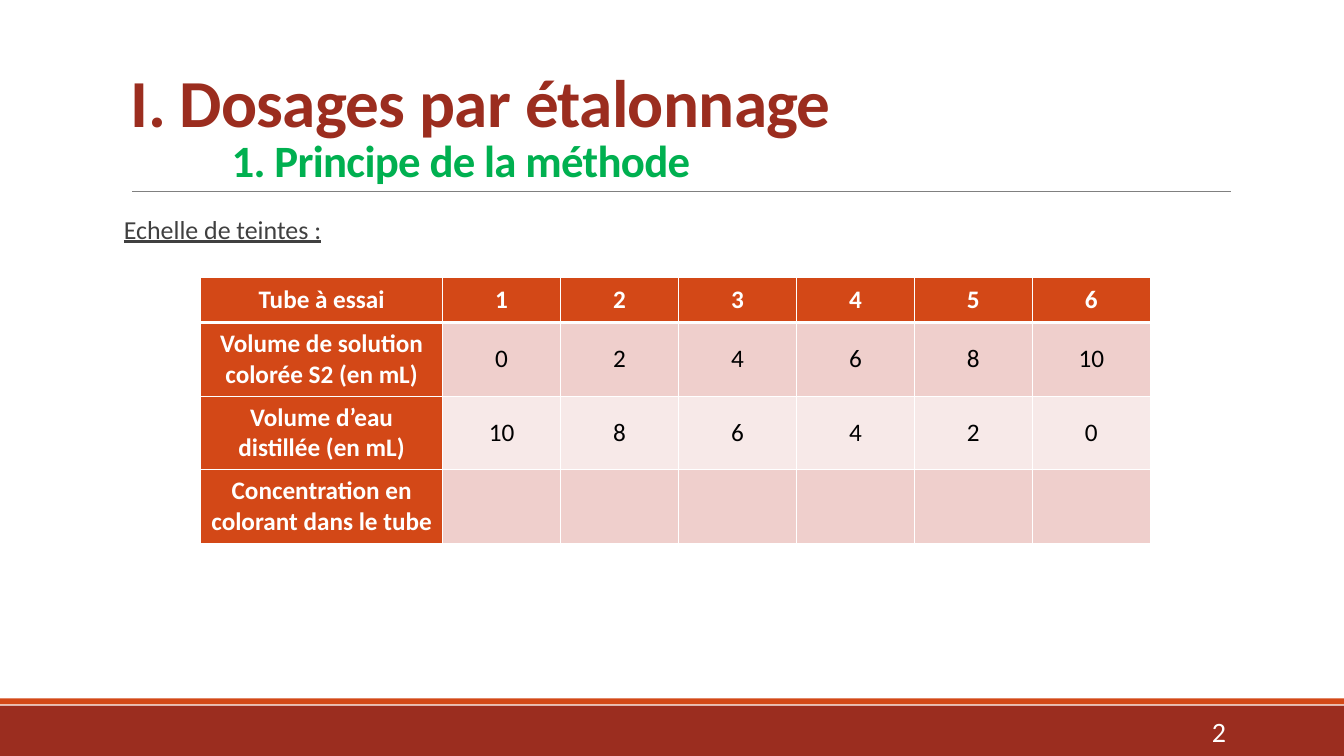
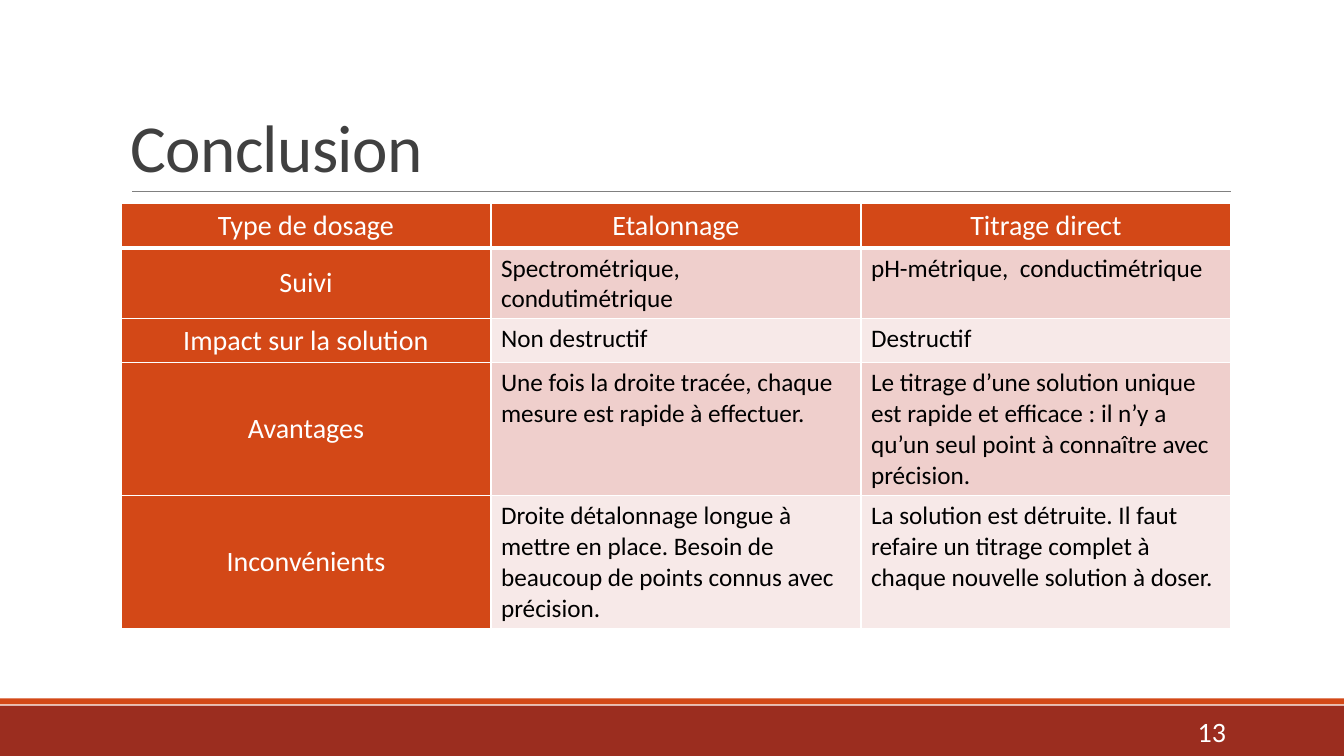
from lxml import etree
from pptx import Presentation
from pptx.dml.color import RGBColor
from pptx.enum.shapes import MSO_CONNECTOR, MSO_SHAPE
from pptx.enum.text import MSO_ANCHOR, PP_ALIGN
from pptx.oxml.ns import qn
from pptx.util import Inches, Pt

# Shared look
FONT = "Calibri"
BRICK = RGBColor(0x9B, 0x2D, 0x1F)
ORANGE = RGBColor(0xD3, 0x48, 0x17)
GREEN = RGBColor(0x00, 0xB0, 0x50)
DARK = RGBColor(0x40, 0x40, 0x40)
GREY = RGBColor(0x80, 0x80, 0x80)
WHITE = RGBColor(0xFF, 0xFF, 0xFF)
BLACK = RGBColor(0x00, 0x00, 0x00)
BANDS = (RGBColor(0xEF, 0xCF, 0xCC), RGBColor(0xF7, 0xE9, 0xE8))

# Content: title lines are (text, size, colour, bold, indent in inches)
SLIDES = [
    {
        "number": "2",
        "title": [("I. Dosages par étalonnage", 48, BRICK, True, 0),
                  ("1. Principe de la méthode", 32, GREEN, True, 1)],
        "label": "Echelle de teintes :",
        "table": {
            "left": 1.99, "top": 2.75,
            "widths": [2.4] + [1.17] * 6,
            "heights": [0.45] + [0.73] * 3,
            "header_size": 18, "header_bold": True, "centred": True,
            "rows": [
                ["Tube à essai", "1", "2", "3", "4", "5", "6"],
                ["Volume de solution colorée S2 (en mL)", "0", "2", "4", "6", "8", "10"],
                ["Volume d’eau distillée (en mL)", "10", "8", "6", "4", "2", "0"],
                ["Concentration en colorant dans le tube", "", "", "", "", "", ""],
            ],
        },
    },
    {
        "number": "13",
        "title": [("Conclusion", 48, DARK, False, 0)],
        "label": None,
        "table": {
            "left": 1.2, "top": 2.02,
            "widths": [3.67] * 3,
            "heights": [0.44, 0.7, 0.44, 1.32, 1.32],
            "header_size": 20, "header_bold": False, "centred": False,
            "rows": [
                ["Type de dosage", "Etalonnage", "Titrage direct"],
                ["Suivi", "Spectrométrique, condutimétrique", "pH-métrique,  conductimétrique"],
                ["Impact sur la solution", "Non destructif", "Destructif"],
                ["Avantages",
                 "Une fois la droite tracée, chaque mesure est rapide à effectuer.",
                 "Le titrage d’une solution unique est rapide et efficace : il n’y a "
                 "qu’un seul point à connaître avec précision."],
                ["Inconvénients",
                 "Droite détalonnage longue à mettre en place. Besoin de beaucoup de "
                 "points connus avec précision.",
                 "La solution est détruite. Il faut refaire un titrage complet à "
                 "chaque nouvelle solution à doser."],
            ],
        },
    },
]


def add_span(para, text, size, color, bold=False):
    span = para.add_run()
    span.text = text
    span.font.name = FONT
    span.font.size = Pt(size)
    span.font.bold = bold
    span.font.color.rgb = color
    return span


def add_box(page, left, top, width, height, anchor=MSO_ANCHOR.TOP):
    box = page.shapes.add_textbox(Inches(left), Inches(top), Inches(width), Inches(height))
    box.text_frame.word_wrap = True
    box.text_frame.vertical_anchor = anchor
    return box.text_frame


def add_frame(page, number):
    # Footer bands
    for top, height, color in ((7, 0.5, BRICK), (6.93, 0.06, ORANGE)):
        band = page.shapes.add_shape(MSO_SHAPE.RECTANGLE, 0, Inches(top),
                                     Inches(13.33), Inches(height))
        band.shadow.inherit = False
        band.fill.solid()
        band.fill.fore_color.rgb = color
        band.line.fill.background()
    # Rule under the title
    rule = page.shapes.add_connector(MSO_CONNECTOR.STRAIGHT, Inches(1.31), Inches(1.9),
                                     Inches(12.21), Inches(1.9))
    rule.line.color.rgb = GREY
    rule.line.width = Pt(0.5)
    etree.SubElement(rule._element.spPr, qn("a:effectLst"))
    # Slide number
    para = add_box(page, 10.83, 7.06, 1.43, 0.4, MSO_ANCHOR.MIDDLE).paragraphs[0]
    para.alignment = PP_ALIGN.RIGHT
    add_span(para, number, 20, WHITE)


def add_title(page, lines):
    frame = add_box(page, 1.2, 0.31, 11, 1.59, MSO_ANCHOR.BOTTOM)
    for index, (text, size, color, bold, indent) in enumerate(lines):
        para = frame.add_paragraph() if index else frame.paragraphs[0]
        para.line_spacing = 0.85
        para._p.get_or_add_pPr().set("marL", str(Inches(indent)))
        span = add_span(para, text, size, color, bold)
        span.font._element.set("spc", "-50")


def add_label(page, text):
    frame = add_box(page, 1.23, 2.1, 2.1, 0.45)
    frame.margin_left = frame.margin_right = 0
    para = frame.paragraphs[0]
    para.line_spacing = 0.9
    add_span(para, text, 18.5, DARK).font.underline = True


def set_borders(cell, row):
    # The line under the header row is thicker
    widths = {"lnL": 1, "lnR": 1, "lnT": 3 if row == 1 else 1, "lnB": 3 if row == 0 else 1}
    properties = cell._tc.get_or_add_tcPr()
    for position, (side, width) in enumerate(widths.items()):
        line = etree.Element(qn(f"a:{side}"), w=str(Pt(width)))
        fill = etree.SubElement(line, qn("a:solidFill"))
        etree.SubElement(fill, qn("a:srgbClr"), val=str(WHITE))
        properties.insert(position, line)


def add_grid(page, data):
    rows, widths, heights = data["rows"], data["widths"], data["heights"]
    table = page.shapes.add_table(len(rows), len(widths), Inches(data["left"]),
                                  Inches(data["top"]), Inches(sum(widths)),
                                  Inches(sum(heights))).table
    table.first_row = table.horz_banding = False
    for column, width in zip(table.columns, widths):
        column.width = Inches(width)
    for r, (texts, height) in enumerate(zip(rows, heights)):
        table.rows[r].height = Inches(height)
        for c, text in enumerate(texts):
            cell = table.cell(r, c)
            header = r == 0 or c == 0
            cell.fill.solid()
            cell.fill.fore_color.rgb = ORANGE if header else BANDS[(r - 1) % 2]
            set_borders(cell, r)
            para = cell.text_frame.paragraphs[0]
            if header or data["centred"]:
                cell.vertical_anchor = MSO_ANCHOR.MIDDLE
                para.alignment = PP_ALIGN.CENTER
            if text and header:
                add_span(para, text, data["header_size"], WHITE, data["header_bold"])
            elif text:
                add_span(para, text, 18, BLACK)


def main():
    deck = Presentation()
    deck.slide_width, deck.slide_height = Inches(13.33), Inches(7.5)
    for content in SLIDES:
        page = deck.slides.add_slide(deck.slide_layouts[6])
        add_frame(page, content["number"])
        add_title(page, content["title"])
        add_grid(page, content["table"])
        if content["label"]:
            add_label(page, content["label"])
    deck.save("out.pptx")


if __name__ == "__main__":
    main()
